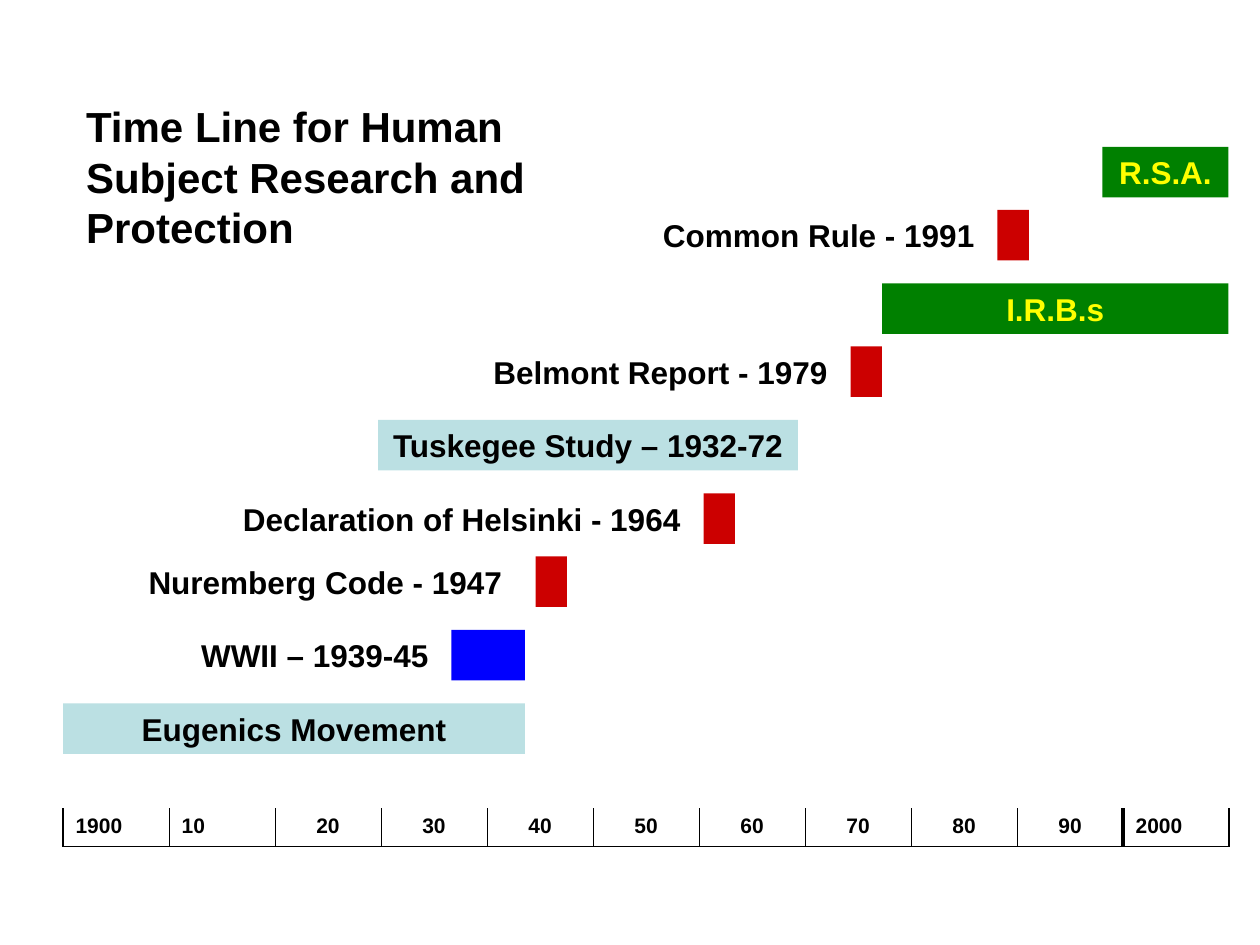
from lxml.etree import SubElement
from pptx import Presentation
from pptx.dml.color import RGBColor
from pptx.enum.shapes import MSO_SHAPE as Shape
from pptx.enum.text import MSO_ANCHOR as Anchor, MSO_AUTO_SIZE as AutoSize, PP_ALIGN as Align
from pptx.oxml.ns import qn
from pptx.util import Pt

PX = 7620  # EMU per px, 120 px to the inch
COLORS = {
    "black": "000000",
    "study": "BBE0E3",
    "war": "0000FF",
    "document": "CC0000",
    "oversight": "008000",
    "yellow": "FFFF00",
}
BAR_HEIGHT = 48


def write(frame, text, size, align, color="black"):
    paragraph = frame.paragraphs[0]
    paragraph.alignment = align
    run = paragraph.add_run()
    run.text = text
    run.font.name = "Arial"
    run.font.size = Pt(size)
    run.font.bold = True
    run.font.color.rgb = RGBColor.from_string(COLORS[color])
    return paragraph


def set_border(cell, side, points):
    """Draw one cell border in black, or hide it when points is 0."""
    line = SubElement(cell._tc.get_or_add_tcPr(), qn(f"a:ln{side}"))
    if points:
        line.set("w", str(Pt(points)))
        fill = SubElement(line, qn("a:solidFill"))
        SubElement(fill, qn("a:srgbClr")).set("val", COLORS["black"])
    else:
        SubElement(line, qn("a:noFill"))


prs = Presentation()
prs.slide_width = 1200 * PX
prs.slide_height = 900 * PX
slide = prs.slides.add_slide(prs.slide_layouts[5])

# Title
title = slide.shapes.title
title.left, title.top, title.width, title.height = 70 * PX, 90 * PX, 460 * PX, 156 * PX
title.text_frame.word_wrap = True
title.text_frame.vertical_anchor = Anchor.TOP
title.text_frame.auto_size = AutoSize.SHAPE_TO_FIT_TEXT
heading = write(title.text_frame, "Time Line for Human Subject Research and Protection", 24, Align.LEFT)
heading.line_spacing = Pt(28.8)

# Decade axis
decades = ["1900", "10", "20", "30", "40", "50", "60", "70", "80", "90", "2000"]
axis = slide.shapes.add_table(1, len(decades), 60 * PX, 770 * PX, 1111 * PX, 36 * PX).table
axis.first_row = False
axis.horz_banding = False
axis.rows[0].height = 36 * PX
edges = [1.08] + [0.45] * 9 + [3, 1.08]
for i, decade in enumerate(decades):
    axis.columns[i].width = 101 * PX
    cell = axis.cell(0, i)
    for side, points in (("L", edges[i]), ("R", edges[i + 1]), ("T", 0), ("B", 1.08)):
        set_border(cell, side, points)
    cell.fill.background()
    align = Align.LEFT if decade in ("1900", "10", "2000") else Align.CENTER
    write(cell.text_frame, decade, 12, align)

# Bars: left, top, width, fill, text inside, text color
bars = [
    (60, 670, 440, "study", "Eugenics Movement", "black"),
    (430, 600, 70, "war", "", ""),
    (510, 530, 30, "document", "", ""),
    (670, 470, 30, "document", "", ""),
    (360, 400, 400, "study", "Tuskegee Study – 1932-72", "black"),
    (810, 330, 30, "document", "", ""),
    (840, 270, 330, "oversight", "I.R.B.s", "yellow"),
    (950, 200, 30, "document", "", ""),
    (1050, 140, 120, "oversight", "R.S.A.", "yellow"),
]
for left, top, width, fill, text, color in bars:
    bar = slide.shapes.add_shape(Shape.RECTANGLE, left * PX, top * PX, width * PX, BAR_HEIGHT * PX)
    bar.shadow.inherit = False
    bar.fill.solid()
    bar.fill.fore_color.rgb = RGBColor.from_string(COLORS[fill])
    bar.line.fill.background()
    if text:
        bar.text_frame.word_wrap = True
        bar.text_frame.vertical_anchor = Anchor.TOP
        bar.text_frame.auto_size = AutoSize.SHAPE_TO_FIT_TEXT
        write(bar.text_frame, text, 18, Align.CENTER, color).line_spacing = Pt(21.6)

# Labels to the left of the bars: left, top, width
labels = [
    (150, 600, 270, "WWII – 1939-45"),
    (120, 530, 370, "Nuremberg Code - 1947"),
    (200, 470, 460, "Declaration of Helsinki - 1964"),
    (400, 330, 400, "Belmont Report - 1979"),
    (590, 200, 350, "Common Rule - 1991"),
]
for left, top, width, text in labels:
    label = slide.shapes.add_textbox(left * PX, top * PX, width * PX, BAR_HEIGHT * PX)
    label.text_frame.word_wrap = True
    label.text_frame.auto_size = AutoSize.SHAPE_TO_FIT_TEXT
    write(label.text_frame, text, 18, Align.RIGHT).line_spacing = Pt(21.6)

prs.save("out.pptx")
